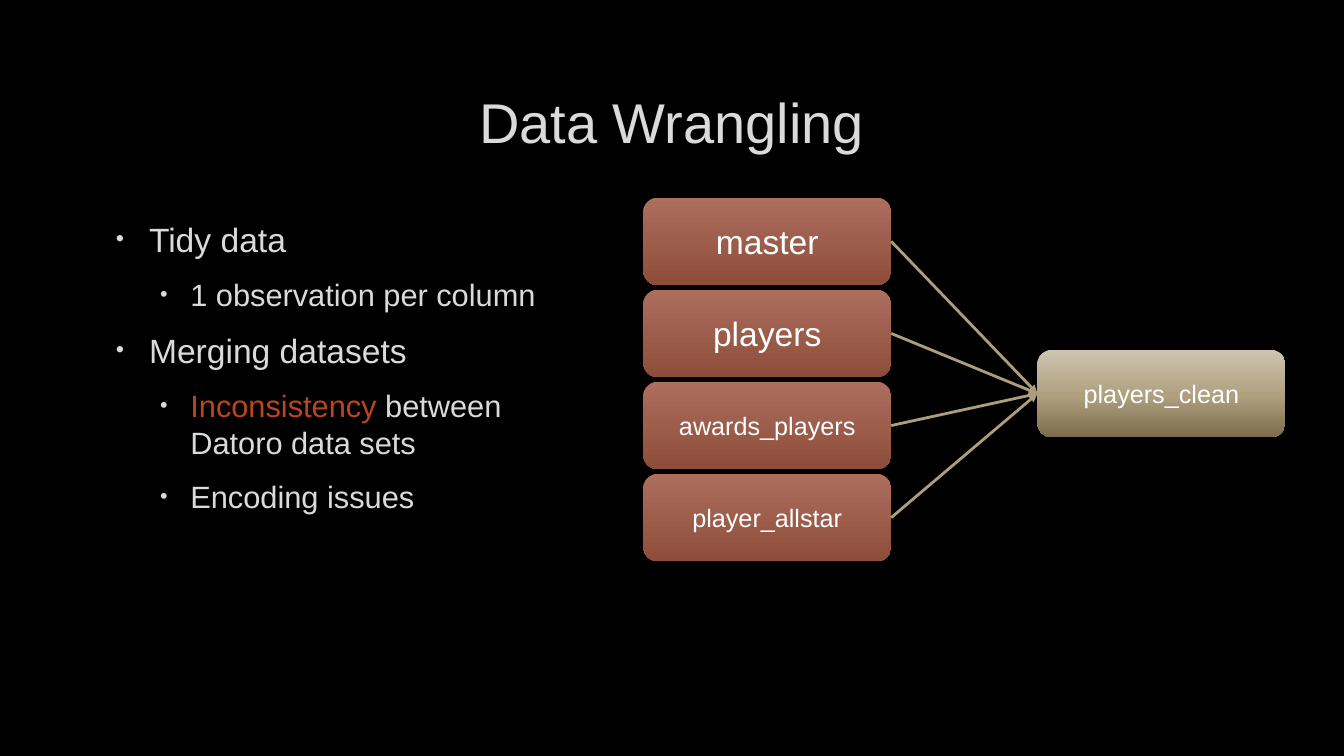
import pptx
import pptx.dml.color
import pptx.enum.shapes
import pptx.enum.text
import pptx.oxml
import pptx.oxml.ns
import pptx.util
from lxml import etree

SLIDE_WIDTH = pptx.util.Inches(13.33)
SLIDE_HEIGHT = pptx.util.Inches(7.5)
FONT = "Arial"
PALE, WHITE, ACCENT, TAN = "DADADA", "FFFFFF", "BC451B", "AD9D7B"

# Gradient stops from top to bottom: position in percent, colour
SOURCE_GRADIENT = [(0, "AD6E5E"), (100, "8E4D3A")]
RESULT_GRADIENT = [(0, "CEC4B0"), (52, "AFA07F"), (100, "7A6C4C")]

# Places are percentages of the slide's width and height
SOURCE_LEFT, SOURCE_TOP, SOURCE_PITCH = 47.86, 26.13, 12.18
BOX_WIDTH, BOX_HEIGHT = 18.45, 11.6
SOURCES = [("master", 24), ("players", 24), ("awards_players", 18), ("player_allstar", 18)]

# Level and runs of each bullet
BULLETS = [
    (0, [("Tidy data", PALE)]),
    (1, [("1 observation per column", PALE)]),
    (0, [("Merging datasets", PALE)]),
    (1, [("Inconsistency", ACCENT), (" between Datoro data sets", PALE)]),
    (1, [("Encoding issues", PALE)]),
]
# Text size, left margin and hanging indent of each level
BULLET_LEVELS = [(24, 0.38, -0.33), (22, 0.79, -0.3)]


def rgb(value):
    return pptx.dml.color.RGBColor.from_string(value)


def place(left, top, width, height):
    """Turn percentages of the slide into lengths."""
    return (
        int(SLIDE_WIDTH * left / 100),
        int(SLIDE_HEIGHT * top / 100),
        int(SLIDE_WIDTH * width / 100),
        int(SLIDE_HEIGHT * height / 100),
    )


def add_xml(parent, tag, **attributes):
    element = etree.SubElement(parent, pptx.oxml.ns.qn(tag))
    for name, value in attributes.items():
        element.set(name, str(value))
    return element


def write_run(paragraph, text, size=18, colour=WHITE):
    run = paragraph.add_run()
    run.text = text
    run.font.name = FONT
    run.font.size = pptx.util.Pt(size)
    run.font.color.rgb = rgb(colour)


def add_text_box(slide, *area):
    frame = slide.shapes.add_textbox(*place(*area)).text_frame
    frame.word_wrap = True
    return frame


def write_centred(frame, text, **text_format):
    frame.vertical_anchor = pptx.enum.text.MSO_ANCHOR.MIDDLE
    paragraph = frame.paragraphs[0]
    paragraph.alignment = pptx.enum.text.PP_ALIGN.CENTER
    write_run(paragraph, text, **text_format)


def add_bullet(paragraph, level, runs):
    size, margin, indent = BULLET_LEVELS[level]
    paragraph.level = level
    paragraph.space_before = pptx.util.Pt(6)
    paragraph.space_after = pptx.util.Pt(6)
    properties = paragraph._p.get_or_add_pPr()
    properties.set("marL", str(pptx.util.Inches(margin)))
    properties.set("indent", str(pptx.util.Inches(indent)))
    add_xml(add_xml(properties, "a:buClr"), "a:srgbClr", val=PALE)
    add_xml(properties, "a:buSzPct", val=70000)
    add_xml(properties, "a:buFont", typeface=FONT)
    add_xml(properties, "a:buChar", char="•")
    for text, colour in runs:
        write_run(paragraph, text, size=size, colour=colour)


def fill_gradient(shape, stops):
    shape.fill.gradient()
    shape.fill.gradient_angle = 270
    stop_list = shape._element.spPr.find(".//" + pptx.oxml.ns.qn("a:gsLst"))
    for stop in list(stop_list):
        stop_list.remove(stop)
    for position, colour in stops:
        stop = add_xml(stop_list, "a:gs", pos=position * 1000)
        add_xml(stop, "a:srgbClr", val=colour)


def add_dataset(slide, name, left, top, gradient, size=18):
    shape = slide.shapes.add_shape(
        pptx.enum.shapes.MSO_SHAPE.ROUNDED_RECTANGLE,
        *place(left, top, BOX_WIDTH, BOX_HEIGHT),
    )
    shape.shadow.inherit = False
    fill_gradient(shape, gradient)
    shape.line.fill.background()
    shape.text_frame.word_wrap = True
    write_centred(shape.text_frame, name, size=size)
    return shape


def add_arrow(slide, source, target):
    """Join the right side of source to the left side of target."""
    arrow = slide.shapes.add_connector(pptx.enum.shapes.MSO_CONNECTOR.STRAIGHT, 0, 0, 0, 0)
    arrow.begin_connect(source, 3)
    arrow.end_connect(target, 1)
    arrow.line.color.rgb = rgb(TAN)
    arrow.line.width = pptx.util.Pt(2)
    add_xml(arrow.line._get_or_add_ln(), "a:tailEnd", type="triangle")
    add_xml(arrow._element.spPr, "a:effectLst")


def main():
    presentation = pptx.Presentation()
    presentation.slide_width = SLIDE_WIDTH
    presentation.slide_height = SLIDE_HEIGHT
    slide = presentation.slides.add_slide(presentation.slide_layouts[6])
    slide.background.fill.solid()
    slide.background.fill.fore_color.rgb = rgb("000000")

    title = add_text_box(slide, 7.5, 8.93, 84.92, 14.13)
    write_centred(title, "Data Wrangling", size=40, colour=PALE)

    body = add_text_box(slide, 7.5, 28.27, 35.41, 59.2)
    for index, (level, runs) in enumerate(BULLETS):
        paragraph = body.add_paragraph() if index else body.paragraphs[0]
        add_bullet(paragraph, level, runs)

    result = add_dataset(slide, "players_clean", 77.19, 46.27, RESULT_GRADIENT)
    for row, (name, size) in enumerate(SOURCES):
        top = SOURCE_TOP + row * SOURCE_PITCH
        source = add_dataset(slide, name, SOURCE_LEFT, top, SOURCE_GRADIENT, size=size)
        add_arrow(slide, source, result)

    presentation.save("out.pptx")


if __name__ == "__main__":
    main()
